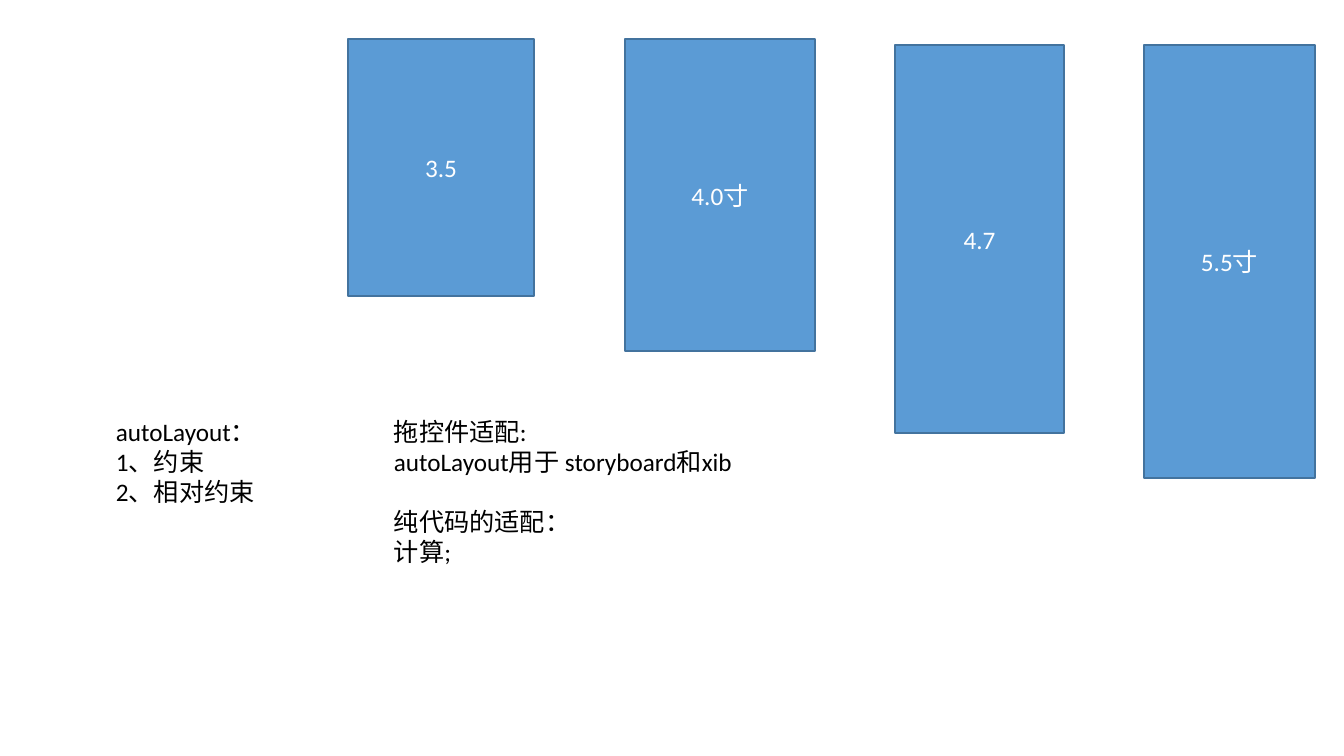
from pptx import Presentation
from pptx.dml.color import RGBColor
from pptx.enum.shapes import MSO_SHAPE as Shape
from pptx.enum.text import MSO_ANCHOR as Anchor, PP_ALIGN as Align
from pptx.util import Pt

SCALE = 914400 / 100.8


def pixels(*lengths):
    return [round(length * SCALE) for length in lengths]


def add_run(paragraph, text, color):
    run = paragraph.add_run()
    run.text = text
    run.font.size = Pt(18)
    run.font.name = "Calibri"
    run.font.color.rgb = RGBColor.from_string(color)


presentation = Presentation()
presentation.slide_width, presentation.slide_height = pixels(1344, 756)
slide = presentation.slides.add_slide(presentation.slide_layouts[6])

screens = [
    ("3.5", 348, 39, 186, 257),
    ("4.0寸", 625, 39, 190, 312),
    ("4.7", 895, 45, 169, 388),
    ("5.5寸", 1144, 45, 171, 433),
]
for size, *box in screens:
    screen = slide.shapes.add_shape(Shape.RECTANGLE, *pixels(*box))
    screen.shadow.inherit = False
    screen.fill.solid()
    screen.fill.fore_color.rgb = RGBColor.from_string("5B9BD5")
    screen.line.color.rgb = RGBColor.from_string("43739E")
    screen.line.width = Pt(1)
    screen.text_frame.vertical_anchor = Anchor.MIDDLE
    paragraph = screen.text_frame.paragraphs[0]
    paragraph.alignment = Align.CENTER
    add_run(paragraph, size, "FFFFFF")

notes = [
    ((106, 411, 257, 132), [("autoLayout：", 0), ("1、约束", 0), ("2、相对约束", 0)]),
    ((384, 411, 362, 163), [
        ("拖控件适配:", 0),
        ("autoLayout用于 storyboard和xib", 0),
        ("纯代码的适配：", 21.5),
        ("计算;", 0),
    ]),
]
for box, lines in notes:
    frame = slide.shapes.add_textbox(*pixels(*box)).text_frame
    frame.word_wrap = True
    for index, (text, gap) in enumerate(lines):
        paragraph = frame.add_paragraph() if index else frame.paragraphs[0]
        paragraph.space_before = Pt(gap)
        add_run(paragraph, text, "000000")

presentation.save("out.pptx")
